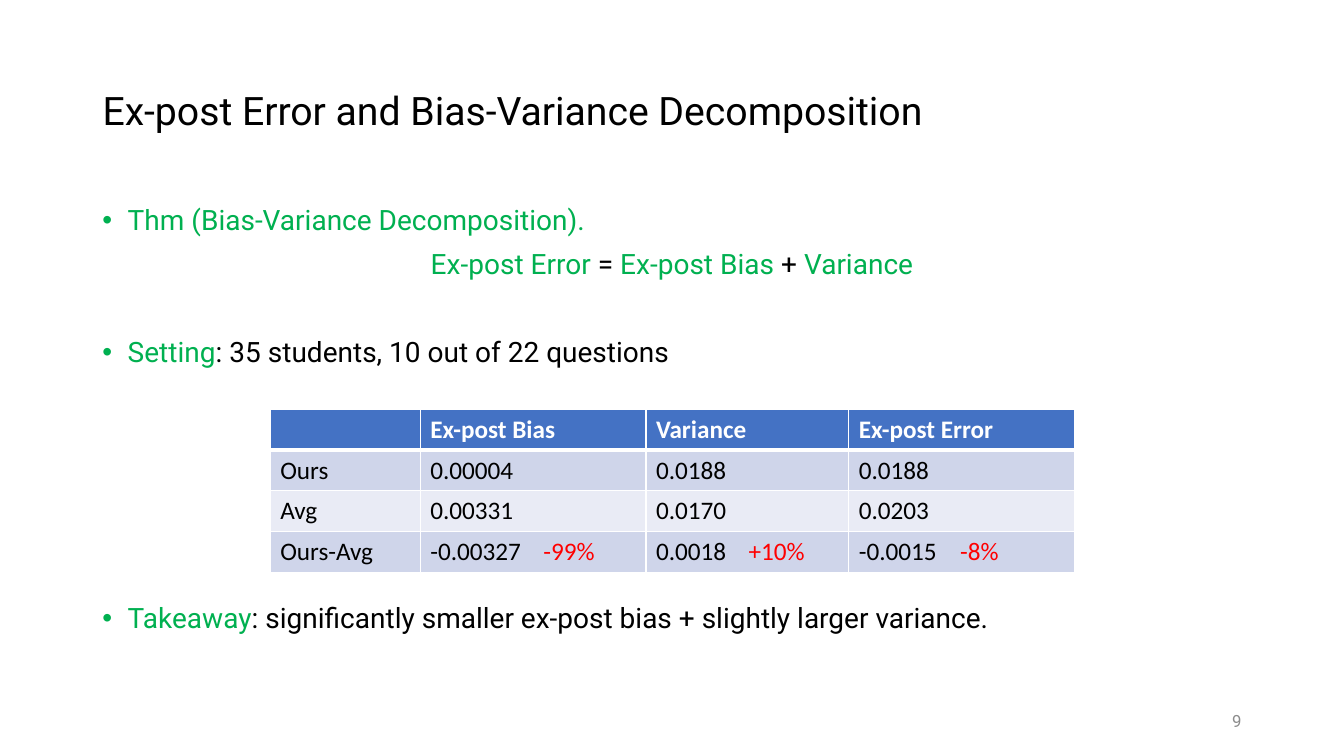
from lxml.etree import SubElement
from pptx import Presentation
from pptx.dml.color import RGBColor
from pptx.enum.text import MSO_ANCHOR, PP_ALIGN
from pptx.oxml.ns import qn
from pptx.util import Cm, Pt

# Content
TITLE = "Ex-post Error and Bias-Variance Decomposition"
PAGE_NUMBER = "9"

# Each paragraph: bulleted, space before in points, spans of (text, colour name)
BODY = [
    (True, 10, [("Thm (Bias-Variance Decomposition).", "green")]),
    (False, 10, [("Ex-post Error", "green"), (" = ", "black"),
                 ("Ex-post Bias ", "green"), ("+ ", "black"),
                 ("Variance", "green")]),
    (True, 41.5, [("Setting", "green"),
                  (": 35 students, 10 out of 22 questions", "black")]),
    (True, 168, [("Takeaway", "green"),
                 (": significantly smaller ex-post bias + slightly larger variance.",
                  "black")]),
]

# Each cell: value, or (value, relative change)
TABLE = [
    ["", "Ex-post Bias", "Variance", "Ex-post Error"],
    ["Ours", "0.00004", "0.0188", "0.0188"],
    ["Avg", "0.00331", "0.0170", "0.0203"],
    ["Ours-Avg", ("-0.00327", "-99%"), ("0.0018", "+10%"), ("-0.0015", "-8%")],
]
COLUMN_WIDTHS = [3.78, 5.69, 5.11, 5.69]
CHANGE_TABS = [0, 2.85, 2.33, 2.55]
ROW_HEIGHT = 1.03

COLORS = {
    "black": "000000", "white": "FFFFFF", "green": "00B050", "red": "FF0000",
    "gray": "8C8C8C", "header": "4472C4", "band": "CFD5EA", "light": "E9EBF5",
}


def color(name):
    return RGBColor.from_string(COLORS[name])


def add_span(para, text, *, size, font="Roboto", fill="black", bold=False):
    span = para.add_run()
    span.text = text
    span.font.size = Pt(size)
    span.font.name = font
    span.font.bold = bold
    span.font.color.rgb = color(fill)


def add_bullet(para):
    props = para._p.get_or_add_pPr()
    props.set("marL", str(Cm(0.64)))
    props.set("indent", str(-Cm(0.64)))
    SubElement(props, qn("a:buFont")).set("typeface", "Arial")
    SubElement(props, qn("a:buChar")).set("char", "•")


def add_tab_stop(para, position):
    stops = SubElement(para._p.get_or_add_pPr(), qn("a:tabLst"))
    stop = SubElement(stops, qn("a:tab"))
    stop.set("pos", str(Cm(position)))
    stop.set("algn", "l")


def set_borders(cell, top=1, bottom=1):
    props = cell._tc.get_or_add_tcPr()
    widths = {"L": 1, "R": 1, "T": top, "B": bottom}
    for index, (side, width) in enumerate(widths.items()):
        line = SubElement(props, qn(f"a:ln{side}"))
        line.set("w", str(Pt(width)))
        solid = SubElement(line, qn("a:solidFill"))
        SubElement(solid, qn("a:srgbClr")).set("val", COLORS["white"])
        props.insert(index, line)  # borders come before the fill


deck = Presentation()
deck.slide_width, deck.slide_height = Cm(33.87), Cm(19.05)
page = deck.slides.add_slide(deck.slide_layouts[5])

# Title
title = page.shapes.title
title.left, title.top, title.width, title.height = Cm(2.33), Cm(1.01), Cm(29.21), Cm(3.68)
title.text_frame.vertical_anchor = MSO_ANCHOR.MIDDLE
para = title.text_frame.paragraphs[0]
para.alignment = PP_ALIGN.LEFT
para.line_spacing = 0.9
add_span(para, TITLE, size=28)

# Body text, with room left for the table
box = page.shapes.add_textbox(Cm(2.33), Cm(5.07), Cm(29.21), Cm(12.09))
box.text_frame.word_wrap = True
for index, (bulleted, space, spans) in enumerate(BODY):
    para = box.text_frame.add_paragraph() if index else box.text_frame.paragraphs[0]
    para.line_spacing = 0.9
    para.space_before = Pt(space)
    if bulleted:
        add_bullet(para)
    else:
        para.alignment = PP_ALIGN.CENTER
    for text, fill in spans:
        add_span(para, text, size=20, fill=fill)

# Results table
table = page.shapes.add_table(
    len(TABLE), len(COLUMN_WIDTHS), Cm(6.81), Cm(10.31),
    Cm(sum(COLUMN_WIDTHS)), Cm(ROW_HEIGHT * len(TABLE))).table
for column, width in zip(table.columns, COLUMN_WIDTHS):
    column.width = Cm(width)
for r, values in enumerate(TABLE):
    table.rows[r].height = Cm(ROW_HEIGHT)
    header = r == 0
    for c, value in enumerate(values):
        cell = table.cell(r, c)
        cell.fill.solid()
        cell.fill.fore_color.rgb = color("header" if header else "band" if r % 2 else "light")
        set_borders(cell, top=3 if r == 1 else 1, bottom=3 if header else 1)
        para = cell.text_frame.paragraphs[0]
        number, change = value if isinstance(value, tuple) else (value, "")
        if number:
            add_span(para, number, size=18, font="Calibri", bold=header,
                     fill="white" if header else "black")
        if change:
            add_tab_stop(para, CHANGE_TABS[c])
            add_span(para, "\t" + change, size=18, font="Calibri", fill="red")

# Page number
box = page.shapes.add_textbox(Cm(23.92), Cm(17.66), Cm(7.62), Cm(1.01))
box.text_frame.word_wrap = True
box.text_frame.vertical_anchor = MSO_ANCHOR.MIDDLE
para = box.text_frame.paragraphs[0]
para.alignment = PP_ALIGN.RIGHT
add_span(para, PAGE_NUMBER, size=12, fill="gray")

deck.save("out.pptx")
